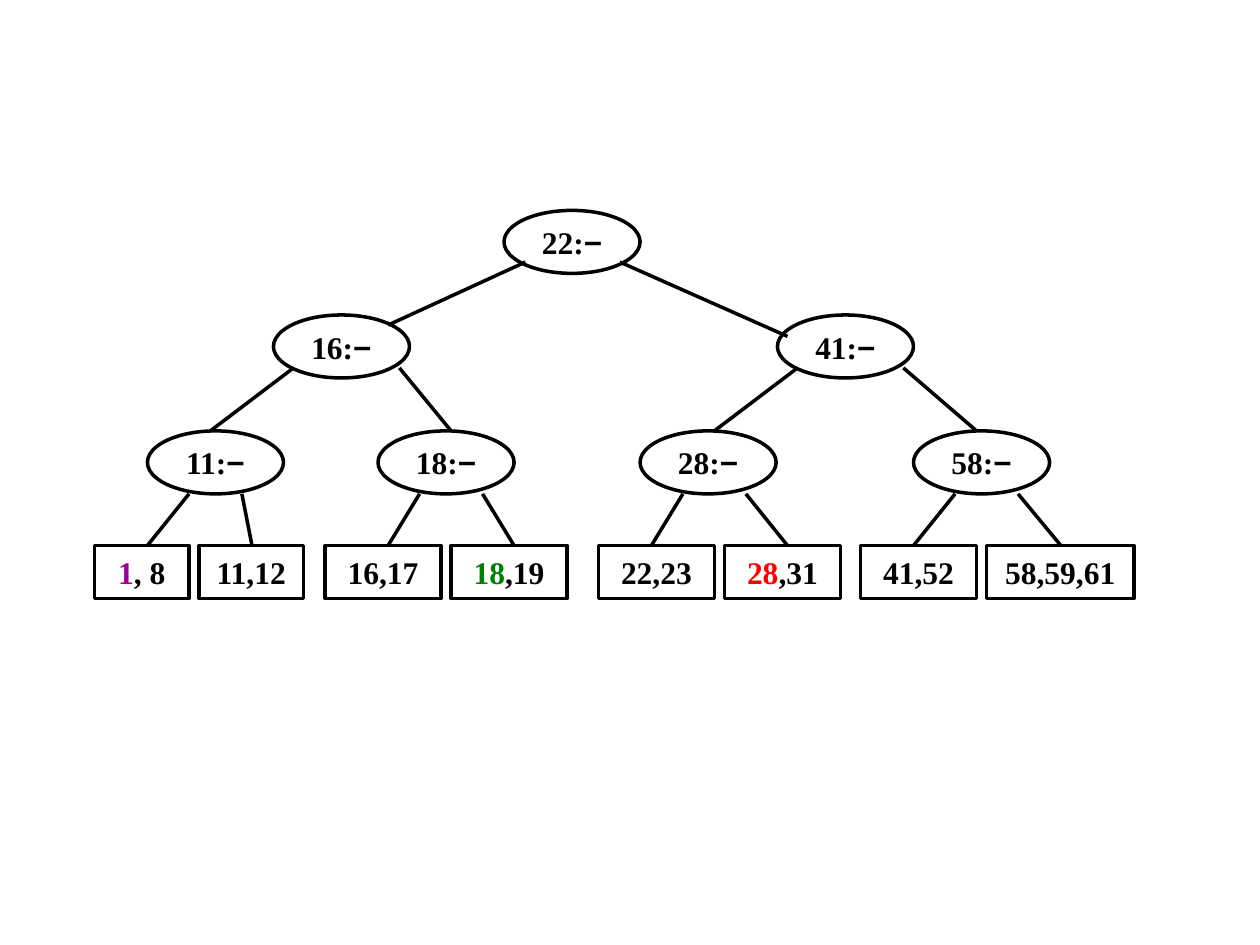
import pptx
import pptx.util
import pptx.dml.color
import pptx.enum.shapes
import pptx.enum.text
import lxml.etree

Inches = pptx.util.Inches
Pt = pptx.util.Pt
Kind = pptx.enum.shapes.MSO_SHAPE

HUES = {
    "ink": "000000",
    "paper": "FFFFFF",
    "purple": "990099",
    "green": "008000",
    "red": "FF0000",
}
SERIF = "Times New Roman"
SANS = "Arial"


def hue(name):
    return pptx.dml.color.RGBColor.from_string(HUES[name])


class Tree:
    def __init__(self, slide):
        self.slide = slide
        self.width = Pt(2)
        self.size = Pt(18)

    def shape(self, kind, left, top, wide, high, runs, fill=None):
        shape = self.slide.shapes.add_shape(
            kind, Inches(left), Inches(top), Inches(wide), Inches(high))
        shape.shadow.inherit = False
        if fill:
            shape.fill.solid()
            shape.fill.fore_color.rgb = hue(fill)
        else:
            shape.fill.background()
        shape.line.color.rgb = hue("ink")
        shape.line.width = self.width
        frame = shape.text_frame
        frame.word_wrap = False
        frame.vertical_anchor = pptx.enum.text.MSO_ANCHOR.MIDDLE
        para = frame.paragraphs[0]
        para.alignment = pptx.enum.text.PP_ALIGN.CENTER
        para.font.size = self.size
        para.font.bold = True
        for text, face, tint in runs:
            run = para.add_run()
            run.text = text
            run.font.name = face
            run.font.color.rgb = hue(tint)

    def node(self, left, top, key):
        runs = [(f"{key}:", SERIF, "ink"), ("−", SANS, "ink")]
        self.shape(Kind.OVAL, left, top, 1.08, 0.5, runs)

    def leaf(self, left, wide, parts, fill=None):
        runs = [(text, SERIF, tint) for text, tint in parts]
        self.shape(Kind.RECTANGLE, left, 4.33, wide, 0.42, runs, fill)

    def edge(self, start, top, end, low):
        line = self.slide.shapes.add_connector(
            pptx.enum.shapes.MSO_CONNECTOR.STRAIGHT,
            Inches(start), Inches(top), Inches(end), Inches(low))
        line.line.color.rgb = hue("ink")
        line.line.width = self.width
        props = line._element.spPr
        lxml.etree.SubElement(props, pptx.oxml.ns.qn("a:effectLst"))


NODES = [
    (1.67, [(4, 22)]),
    (2.5, [(2.17, 16), (6.17, 41)]),
    (3.42, [(1.17, 11), (3, 18), (5.08, 28), (7.25, 58)]),
]
LEAVES = [
    (0.75, 0.75, [("1", "purple"), (", 8", "ink")], None),
    (1.58, 0.83, [("11,12", "ink")], None),
    (2.58, 0.92, [("16,17", "ink")], "paper"),
    (3.58, 0.92, [("18", "green"), (",19", "ink")], "paper"),
    (4.75, 0.92, [("22,23", "ink")], None),
    (5.75, 0.92, [("28", "red"), (",31", "ink")], None),
    (6.83, 0.92, [("41,52", "ink")], None),
    (7.83, 1.17, [("58,59,61", "ink")], None),
]
EDGES = [
    (2.08, 2.58, [(4.17, 3.08)]),
    (2.08, 2.67, [(4.92, 6.25)]),
    (2.92, 3.42, [(2.33, 1.67), (3.17, 3.58), (6.33, 5.67), (7.17, 7.75)]),
    (3.92, 4.33, [(1.5, 1.17), (1.92, 2), (3.33, 3.08), (3.83, 4.08),
                  (5.42, 5.17), (5.92, 6.25), (7.58, 7.25), (8.08, 8.42)]),
]


def main():
    deck = pptx.Presentation()
    deck.slide_width = Inches(10)
    deck.slide_height = Inches(7.5)
    tree = Tree(deck.slides.add_slide(deck.slide_layouts[6]))
    for leaf in LEAVES:
        tree.leaf(*leaf)
    for top, row in NODES:
        for left, key in row:
            tree.node(left, top, key)
    for top, low, row in EDGES:
        for start, end in row:
            tree.edge(start, top, end, low)
    deck.save("out.pptx")


if __name__ == "__main__":
    main()
